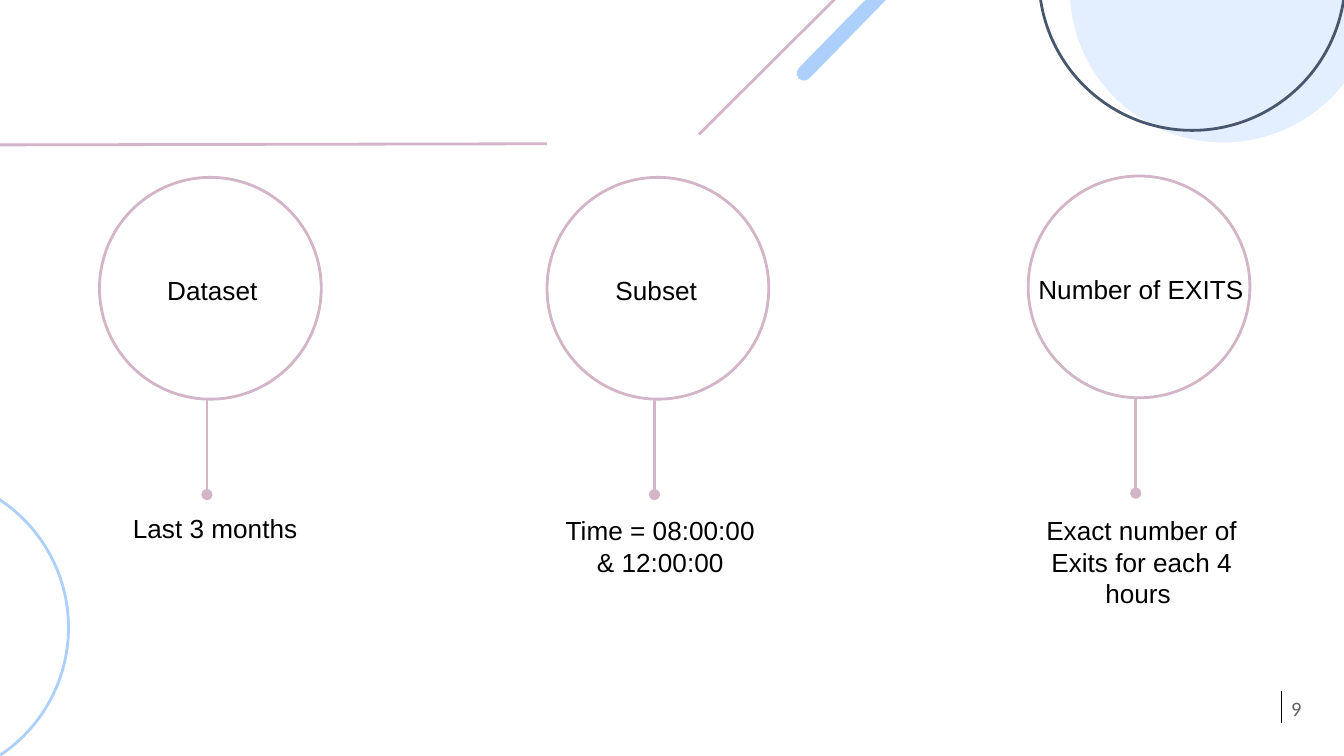
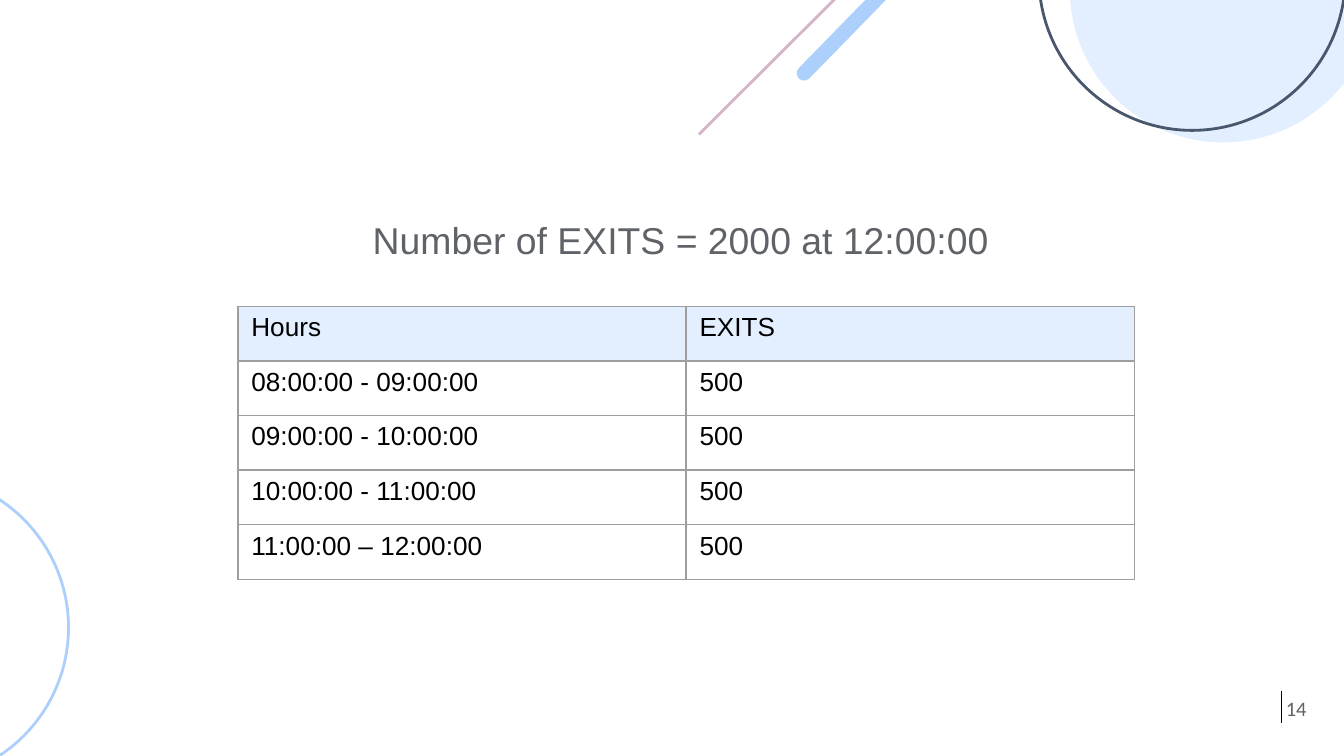
from lxml import etree
from pptx import Presentation
from pptx.dml.color import RGBColor
from pptx.enum.shapes import MSO_CONNECTOR, MSO_SHAPE
from pptx.enum.text import MSO_ANCHOR, MSO_AUTO_SIZE, PP_ALIGN
from pptx.oxml.ns import qn
from pptx.util import Inches, Pt

# Content
STEPS = [
    # circle left, circle top, label, note lines, note left, top and width, note indent
    (0.74, 1.32, "Dataset", ["Last 3 months"], (-0.11, 3.71, 2.58), 1.0),
    (4.07, 1.32, "Subset ", ["Time = 08:00:00 ", "& 12:00:00 "], (3.57, 3.73, 2.74), None),
    (7.65, 1.31, "Number of EXITS", ["Exact number of Exits for each 4 hours "],
     (7.46, 3.73, 2.07), None),
]
TABLE_TITLE = "Number of EXITS = 2000 at 12:00:00 "
TABLE_ROWS = [
    ("Hours", "EXITS"),
    ("08:00:00 - 09:00:00", "500"),
    ("09:00:00 - 10:00:00", "500"),
    ("10:00:00 - 11:00:00", "500"),
    ("11:00:00 – 12:00:00", "500"),
]

# Shared style
COLORS = {
    "pale": "E3EFFF", "sky": "ACCFFB", "navy": "49576E", "mauve": "D3B5C8",
    "gray": "5F6368", "border": "9E9E9E", "black": "000000",
}
BIG_CIRCLE, STEP_CIRCLE = 2.28, 1.65
CONTENT_LEFT, CONTENT_WIDTH = 1.77, 6.67


def color(name):
    return RGBColor.from_string(COLORS[name])


def add_shape(slide, kind, left, top, width, height, fill=None, line=None):
    shape = slide.shapes.add_shape(
        kind, Inches(left), Inches(top), Inches(width), Inches(height))
    shape.shadow.inherit = False
    if fill:
        shape.fill.solid()
        shape.fill.fore_color.rgb = color(fill)
    else:
        shape.fill.background()
    if line:
        shape.line.color.rgb = color(line)
        shape.line.width = Pt(1.5)
    else:
        shape.line.fill.background()
    return shape


def add_circle(slide, left, top, size, fill=None, line=None):
    return add_shape(slide, MSO_SHAPE.OVAL, left, top, size, size, fill, line)


def add_line(slide, start, end, line="mauve", width=1.5, dot=False):
    connector = slide.shapes.add_connector(
        MSO_CONNECTOR.STRAIGHT, *(Inches(value) for value in start + end))
    connector.line.color.rgb = color(line)
    connector.line.width = Pt(width)
    if dot:
        etree.SubElement(connector.line._get_or_add_ln(), qn("a:tailEnd"), type="oval")
    etree.SubElement(connector._element.spPr, qn("a:effectLst"))


def format_text(text_frame, size=14, font="Arial", text_color="black",
                align=PP_ALIGN.CENTER):
    for paragraph in text_frame.paragraphs:
        paragraph.alignment = align
        for run in paragraph.runs:
            run.font.size = Pt(size)
            run.font.name = font
            run.font.bold = False
            run.font.color.rgb = color(text_color)


def set_frame(text_frame, anchor):
    text_frame.word_wrap = True
    text_frame.auto_size = MSO_AUTO_SIZE.NONE
    text_frame.vertical_anchor = anchor
    text_frame.margin_left = text_frame.margin_right = Inches(0.1)
    text_frame.margin_top = text_frame.margin_bottom = Inches(0.1)


def add_text(slide, lines, left, top, width, height, anchor=MSO_ANCHOR.TOP, **style):
    box = slide.shapes.add_textbox(
        Inches(left), Inches(top), Inches(width), Inches(height))
    set_frame(box.text_frame, anchor)
    box.text_frame.text = "\n".join(lines)
    format_text(box.text_frame, **style)
    return box


def add_base_slide(presentation, layout_index, number):
    """Add a slide with the corner decoration and the page number."""
    slide = presentation.slides.add_slide(presentation.slide_layouts[layout_index])
    add_circle(slide, 7.96, -1.22, BIG_CIRCLE, fill="pale")
    add_circle(slide, 7.73, -1.31, BIG_CIRCLE, line="navy")
    add_circle(slide, -1.77, 3.53, BIG_CIRCLE, line="sky")
    stick = add_shape(slide, MSO_SHAPE.ROUND_2_SAME_RECTANGLE,
                      6.64, -1.26, 0.11, 2.15, fill="sky")
    stick.adjustments[0], stick.adjustments[1] = 0.5, 0
    stick.rotation = 224.3
    add_line(slide, (7.38, -1.17), (5.2, 1.0))
    add_line(slide, (9.53, 5.38), (9.53, 5.14), "black", 0.25)
    add_text(slide, [str(number)], 9.46, 5.08, 0.37, 0.37,
             size=11, font="Calibri", text_color="gray")
    return slide


def add_step(slide, left, top, label, note, note_place, indent):
    add_circle(slide, left, top, STEP_CIRCLE, line="mauve")
    add_text(slide, [label], left - 0.15, top + 0.41, 1.98, 0.86, MSO_ANCHOR.MIDDLE)
    stem_x, stem_top = left + 0.8, top + STEP_CIRCLE
    add_line(slide, (stem_x, stem_top), (stem_x, stem_top + 0.71), dot=True)
    align = PP_ALIGN.LEFT if indent else PP_ALIGN.CENTER
    box = add_text(slide, note, *note_place, 1.14, align=align)
    if indent:
        properties = box.text_frame.paragraphs[0]._p.get_or_add_pPr()
        properties.set("marL", str(Inches(indent)))


def set_borders(cell):
    properties = cell._tc.get_or_add_tcPr()
    for index, side in enumerate(("lnL", "lnR", "lnT", "lnB")):
        border = etree.Element(qn(f"a:{side}"), w=str(Pt(0.75)))
        fill = etree.SubElement(border, qn("a:solidFill"))
        etree.SubElement(fill, qn("a:srgbClr"), val=COLORS["border"])
        properties.insert(index, border)


def add_hours_table(slide):
    table = slide.shapes.add_table(
        len(TABLE_ROWS), len(TABLE_ROWS[0]), Inches(CONTENT_LEFT), Inches(2.28),
        Inches(CONTENT_WIDTH), Inches(2.03)).table
    table.first_row = table.horz_banding = False
    for row_index, row in enumerate(TABLE_ROWS):
        for column_index, text in enumerate(row):
            cell = table.cell(row_index, column_index)
            cell.text_frame.text = text
            format_text(cell.text_frame, align=PP_ALIGN.LEFT)
            if row_index == 0:
                cell.fill.solid()
                cell.fill.fore_color.rgb = color("pale")
            else:
                cell.fill.background()
            set_borders(cell)


def add_title(slide, text):
    title = slide.shapes.title
    title.left, title.top = Inches(CONTENT_LEFT), Inches(1.17)
    title.width, title.height = Inches(CONTENT_WIDTH), Inches(0.88)
    set_frame(title.text_frame, MSO_ANCHOR.BOTTOM)
    title.text_frame.text = text
    format_text(title.text_frame, size=20, text_color="gray")


def main():
    presentation = Presentation()
    presentation.slide_width = Inches(10)
    presentation.slide_height = Inches(10 * 9 / 16)

    # Slide 1: three steps below a rule
    steps_slide = add_base_slide(presentation, 6, 9)
    add_line(steps_slide, (4.07, 1.07), (-0.84, 1.08))
    for step in STEPS:
        add_step(steps_slide, *step)

    # Slide 2: exits per hour
    table_slide = add_base_slide(presentation, 5, 14)
    add_hours_table(table_slide)
    add_title(table_slide, TABLE_TITLE)

    presentation.save("out.pptx")


if __name__ == "__main__":
    main()
